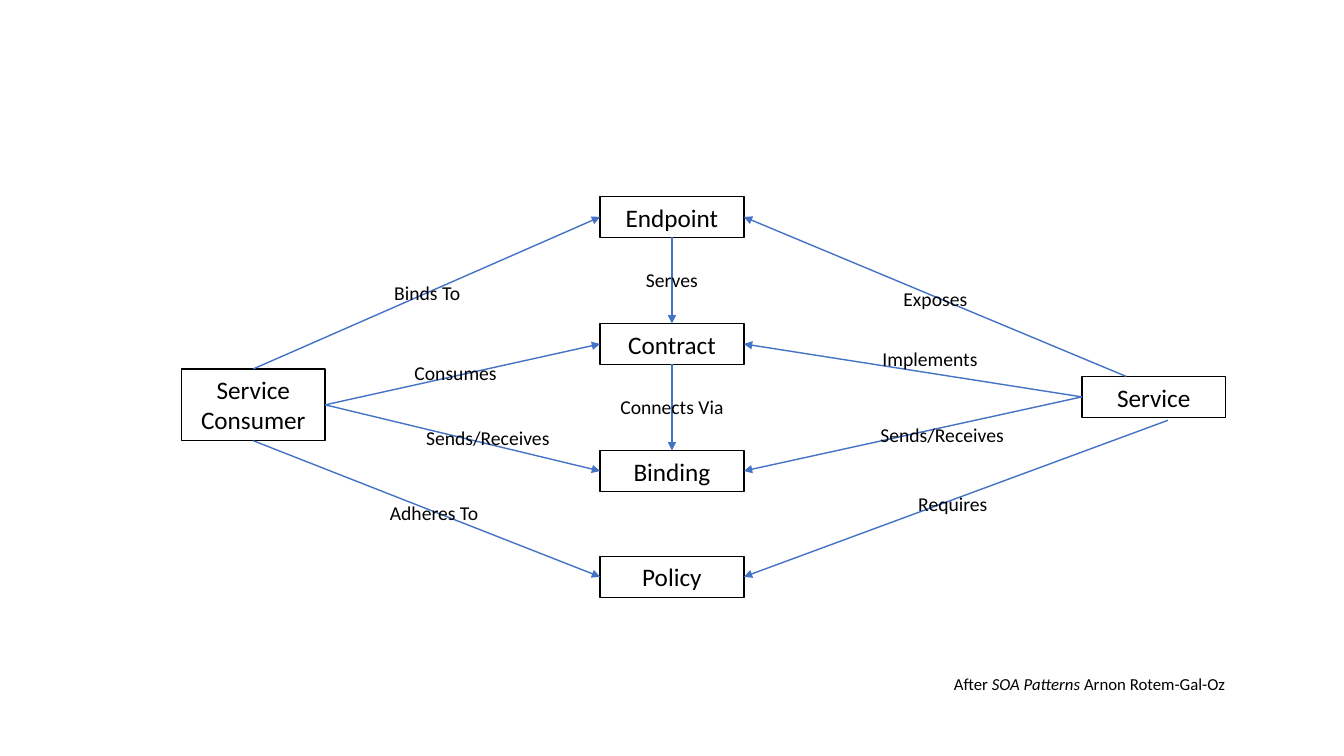
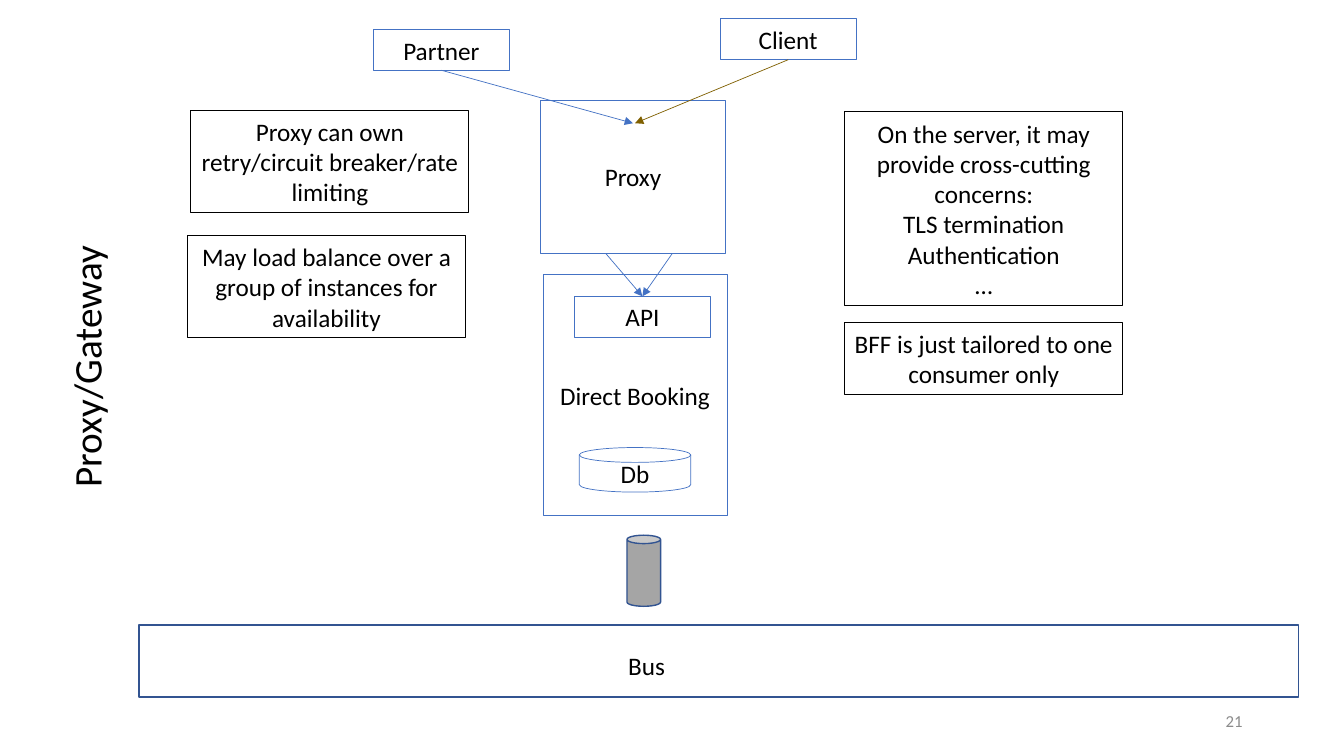
"""Build two slides on service-oriented architecture: service components and the proxy/gateway."""
from dataclasses import dataclass

from lxml import etree
from pptx import Presentation
from pptx.dml.color import RGBColor
from pptx.enum.shapes import MSO_CONNECTOR, MSO_SHAPE
from pptx.enum.text import MSO_ANCHOR, PP_ALIGN
from pptx.oxml.ns import qn
from pptx.util import Inches, Pt

RECT = MSO_SHAPE.RECTANGLE
CAN = MSO_SHAPE.CAN
DISK = MSO_SHAPE.FLOWCHART_MAGNETIC_DISK
STRAIGHT = MSO_CONNECTOR.STRAIGHT
LEFT_ALIGNED, CENTERED, RIGHT_ALIGNED = PP_ALIGN.LEFT, PP_ALIGN.CENTER, PP_ALIGN.RIGHT
MIDDLE = MSO_ANCHOR.MIDDLE
TOP, LEFT, BOTTOM, RIGHT = range(4)
SLIDE_WIDTH, SLIDE_HEIGHT = Inches(13.333), Inches(7.5)
BLANK = 6


@dataclass(frozen=True)
class Theme:
    """Colours, type sizes and line widths of the deck."""
    font: str = "Calibri"
    ink: RGBColor = RGBColor(0, 0, 0)
    paper: RGBColor = RGBColor(0xFF, 0xFF, 0xFF)
    blue: RGBColor = RGBColor(0x44, 0x72, 0xC4)
    navy: RGBColor = RGBColor(0x32, 0x54, 0x91)
    olive: RGBColor = RGBColor(0x80, 0x60, 0x00)
    pipe: RGBColor = RGBColor(0xA5, 0xA5, 0xA5)
    muted: RGBColor = RGBColor(0x8C, 0x8C, 0x8C)
    title: int = 28
    body: int = 18
    label: int = 14
    small: int = 12
    bold_line: float = 1
    line: float = 0.75
    fine_line: float = 0.5


THEME = Theme()


def across(share):
    """Turn a percentage of the slide width into a length."""
    return round(SLIDE_WIDTH * share / 100)


def down(share):
    """Turn a percentage of the slide height into a length."""
    return round(SLIDE_HEIGHT * share / 100)


def place(area):
    """Turn left, top, width and height percentages into lengths."""
    left, top, width, height = area
    return across(left), down(top), across(width), down(height)


def style_run(run, size, color):
    """Give a run the deck's font."""
    run.font.name = THEME.font
    run.font.size = Pt(size)
    run.font.color.rgb = color


def write(frame, text, size, color=THEME.ink, align=CENTERED):
    """Fill a text frame with evenly styled paragraphs."""
    frame.text = text
    frame.word_wrap = True
    frame.vertical_anchor = MIDDLE
    for paragraph in frame.paragraphs:
        paragraph.alignment = align
        for run in paragraph.runs:
            style_run(run, size, color)


def add_box(slide, area, text="", color=THEME.ink, width=THEME.line, fill=None, kind=RECT):
    """Draw an outlined shape with optional centred text."""
    box = slide.shapes.add_shape(kind, *place(area))
    box.shadow.inherit = False
    box.line.color.rgb = color
    box.line.width = Pt(width)
    if fill is None:
        box.fill.background()
    else:
        box.fill.solid()
        box.fill.fore_color.rgb = fill
    if text:
        write(box.text_frame, text, THEME.body)
    return box


def add_label(slide, area, text, size, color=THEME.ink, align=CENTERED):
    """Place text without an outline."""
    label = slide.shapes.add_textbox(*place(area))
    write(label.text_frame, text, size, color, align)
    return label


def locate(end):
    """Find the position of an end given as a point or as a shape and its side."""
    if isinstance(end[0], (int, float)):
        return across(end[0]), down(end[1])
    box, side = end
    x = box.left + {LEFT: 0, RIGHT: box.width}.get(side, box.width // 2)
    y = box.top + {TOP: 0, BOTTOM: box.height}.get(side, box.height // 2)
    return x, y


def add_arrow(slide, start, finish, color=THEME.blue, width=THEME.fine_line):
    """Draw a straight arrow, joined to every end that is a shape's side."""
    arrow = slide.shapes.add_connector(STRAIGHT, *locate(start), *locate(finish))
    arrow.line.color.rgb = color
    arrow.line.width = Pt(width)
    properties = arrow.element.spPr
    etree.SubElement(properties.find(qn("a:ln")), qn("a:tailEnd"), type="triangle")
    etree.SubElement(properties, qn("a:effectLst"))
    for end, join in ((start, arrow.begin_connect), (finish, arrow.end_connect)):
        if not isinstance(end[0], (int, float)):
            join(*end)
    return arrow


def add_credit(slide):
    """Name the book that the diagram follows."""
    credit = add_label(slide, (54.1, 88.5, 37.8, 4), "After ", THEME.small, align=RIGHT_ALIGNED)
    paragraph = credit.text_frame.paragraphs[0]
    for text, italic in (("SOA Patterns ", True), ("Arnon Rotem-Gal-Oz", False)):
        run = paragraph.add_run()
        run.text = text
        style_run(run, THEME.small, THEME.ink)
        run.font.italic = italic


def build_components(slide):
    """Show how consumer and service relate to the parts between them."""
    width, height, label_width, label_height = 10.7, 5.4, 12, 4.5

    def component(text, left, top, rows=height):
        return add_box(slide, (left, top, width, rows), text, width=THEME.bold_line, fill=THEME.paper)

    middle = 50 - width / 2
    endpoint, contract, binding, policy = (
        component(text, middle, top) for text, top in
        (("Endpoint", 26), ("Contract", 42.8), ("Binding", 59.6), ("Policy", 73.6)))
    consumer = component("Service Consumer", 13.5, 48.8, 9.5)
    service = component("Service", 80.5, 49.8)

    relations = (
        ("Serves", (endpoint, BOTTOM), (contract, TOP), 50, 34.7),
        ("Connects Via", (contract, BOTTOM), (binding, TOP), 50, 51.6),
        ("Exposes", (83.8, 49.8), (endpoint, RIGHT), 69.6, 37.3),
        ("Implements", (service, LEFT), (contract, RIGHT), 69.2, 45.2),
        ("Sends/Receives", (service, LEFT), (binding, RIGHT), 70.1, 55.3),
        ("Requires", (86.9, 55.6), (policy, RIGHT), 70.9, 64.4),
        ("Binds To", (consumer, TOP), (endpoint, LEFT), 31.8, 36.5),
        ("Consumes", (consumer, RIGHT), (contract, LEFT), 33.9, 47.1),
        ("Sends/Receives", (consumer, RIGHT), (binding, LEFT), 36.3, 55.6),
        ("Adheres To", (consumer, BOTTOM), (policy, LEFT), 32.3, 65.6),
    )
    for text, start, finish, center, top in relations:
        add_arrow(slide, start, finish, width=THEME.bold_line)
        area = (center - label_width / 2, top, label_width, label_height)
        add_label(slide, area, text, THEME.label)
    add_credit(slide)


def build_gateway(slide):
    """Show a proxy between its callers and the booking service."""
    node_size = (10.1, 5.4)
    add_box(slide, (10.35, 82.7, 86.25, 9.5), color=THEME.navy, width=THEME.bold_line)
    add_label(slide, (46, 85.3, 6, 5.4), "Bus", THEME.body, align=LEFT_ALIGNED)
    add_box(slide, (40.4, 36.3, 13.7, 31.9), "Direct Booking", THEME.blue, THEME.fine_line)
    api = add_box(slide, (42.75, 39.2, *node_size), "API", THEME.blue)
    add_box(slide, (46.65, 70.8, 2.5, 9.4), color=THEME.navy, width=THEME.bold_line,
            fill=THEME.pipe, kind=CAN)
    add_box(slide, (43.1, 59.2, 8.3, 5.9), "Db", THEME.blue, THEME.fine_line, kind=DISK)

    forwards = [(side, add_arrow(slide, (x, 23.4), (api, TOP)))
                for side, x in ((LEFT, 40.2), (RIGHT, 54))]
    proxy = add_box(slide, (40.2, 13.3, 13.8, 20.2), "Proxy", THEME.blue, THEME.fine_line, THEME.paper)
    for side, forward in forwards:
        forward.begin_connect(proxy, side)

    callers = (("Partner", 27.8, 3.9, 47.1, THEME.blue), ("Client", 53.6, 2.5, 47.25, THEME.olive))
    for text, left, top, target, color in callers:
        caller = add_box(slide, (left, top, *node_size), text, THEME.blue)
        add_arrow(slide, (caller, BOTTOM), (target, 16.3), color)

    notes = (
        ("Proxy can own retry/circuit breaker/rate limiting", 14.2, 14.6, 13.5),
        ("May load balance over a group of instances for availability", 13.95, 31.2, 13.5),
        ("On the server, it may provide cross-cutting concerns:\n"
         "TLS termination\nAuthentication\n…", 62.85, 14.8, 25.6),
        ("BFF is just tailored to one consumer only", 62.85, 42.7, 9.5),
    )
    for text, left, top, height in notes:
        add_box(slide, (left, top, 20.7, height), text)

    title = add_label(slide, (-8.9, 44.7, 30.6, 7.6), "Proxy/Gateway", THEME.title)
    title.rotation = 270
    add_label(slide, (70.7, 92.7, 22.5, 5.3), "21", THEME.small, THEME.muted, RIGHT_ALIGNED)


def main():
    """Build and save the deck."""
    deck = Presentation()
    deck.slide_width, deck.slide_height = SLIDE_WIDTH, SLIDE_HEIGHT
    for build in (build_components, build_gateway):
        build(deck.slides.add_slide(deck.slide_layouts[BLANK]))
    deck.save("out.pptx")


if __name__ == "__main__":
    main()
